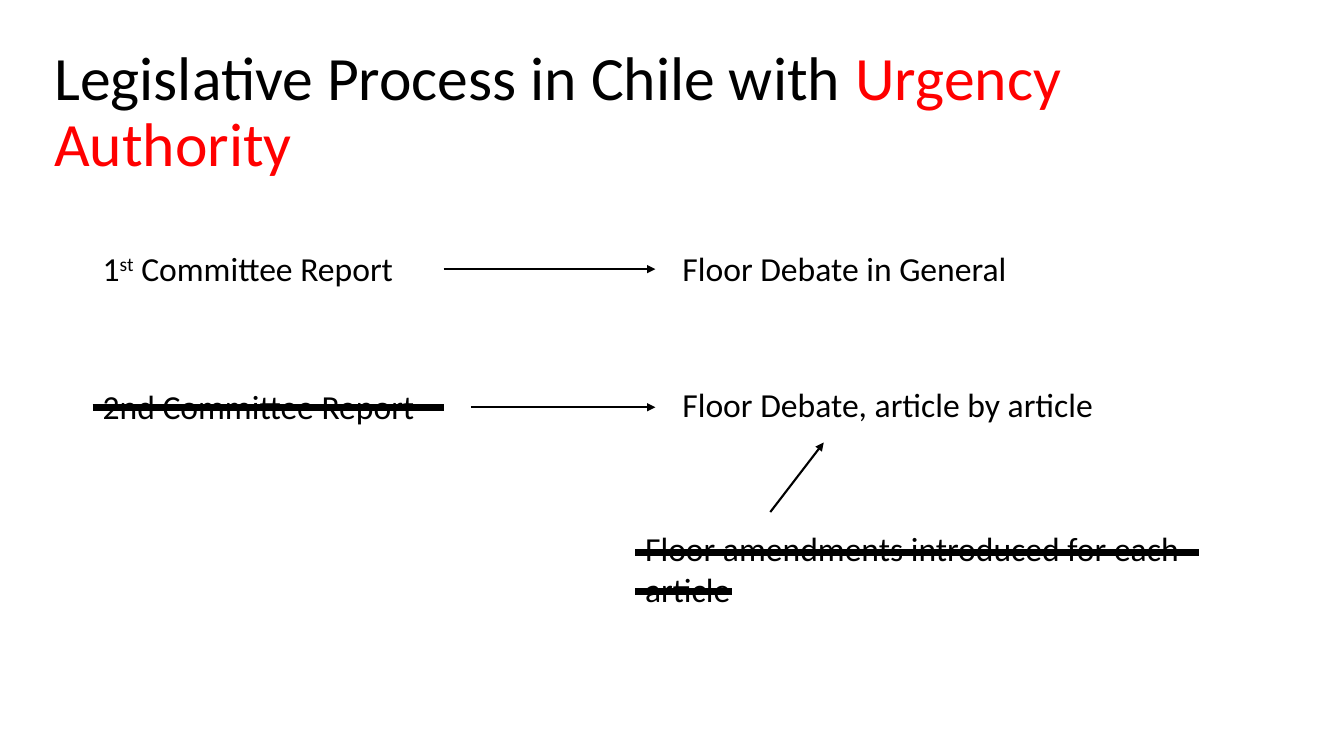
from lxml.etree import SubElement
from pptx import Presentation
from pptx.dml.color import RGBColor
from pptx.enum.shapes import MSO_CONNECTOR
from pptx.enum.text import MSO_ANCHOR, MSO_AUTO_SIZE
from pptx.oxml.ns import qn
from pptx.util import Pt

PX = 9144  # EMU per px, 100 px to the inch
BLACK, RED = "000000", "FF0000"

prs = Presentation()
prs.slide_width, prs.slide_height = 1333 * PX, 750 * PX
s = prs.slides.add_slide(prs.slide_layouts[6])


def add_text(box, runs, size):
    """Add a text box; runs are (text, colour, baseline in percent)."""
    tb = s.shapes.add_textbox(*(v * PX for v in box))
    tf = tb.text_frame
    tf.word_wrap = True
    for text, color, baseline in runs:
        r = tf.paragraphs[0].add_run()
        r.text = text
        r.font.name = "Calibri"
        r.font.size = Pt(size)
        r.font.color.rgb = RGBColor.from_string(color)
        if baseline:
            r.font._element.set("baseline", str(baseline * 1000))
    return tf


def add_line(ends, width, arrow):
    line = s.shapes.add_connector(MSO_CONNECTOR.STRAIGHT, *(v * PX for v in ends))
    line.line.color.rgb = RGBColor.from_string(BLACK)
    line.line.width = Pt(width)
    if arrow:
        SubElement(line.line._get_or_add_ln(), qn("a:tailEnd"), type="triangle")
    SubElement(line._element.spPr, qn("a:effectLst"))


title = add_text((44, 40, 1258, 145),
                 [("Legislative Process in Chile with ", BLACK, 0),
                  ("Urgency Authority", RED, 0)], 44)
title.vertical_anchor = MSO_ANCHOR.MIDDLE
title.paragraphs[0].line_spacing = 0.9

steps = [
    ((92, 241, 348, 50), [("1", BLACK, 0), ("st", BLACK, 30),
                          (" Committee Report", BLACK, 0)]),
    ((667, 241, 379, 50), [("Floor Debate in General", BLACK, 0)]),
    ((92, 378, 376, 50), [("2nd Committee Report", BLACK, 0)]),
    ((667, 376, 477, 50), [("Floor Debate, article by article", BLACK, 0)]),
    ((630, 519, 611, 91), [("Floor amendments introduced for each article", BLACK, 0)]),
]
for box, runs in steps:
    add_text(box, runs, 24).auto_size = MSO_AUTO_SIZE.SHAPE_TO_FIT_TEXT

arrows = [(440, 267, 650, 267), (467, 404, 650, 404), (764, 508, 817, 439)]
for ends in arrows:
    add_line(ends, 1.5, True)

strikes = [(92, 404, 440, 404), (630, 548, 1189, 548), (630, 587, 726, 587)]
for ends in strikes:
    add_line(ends, 5.25, False)

prs.save("out.pptx")
